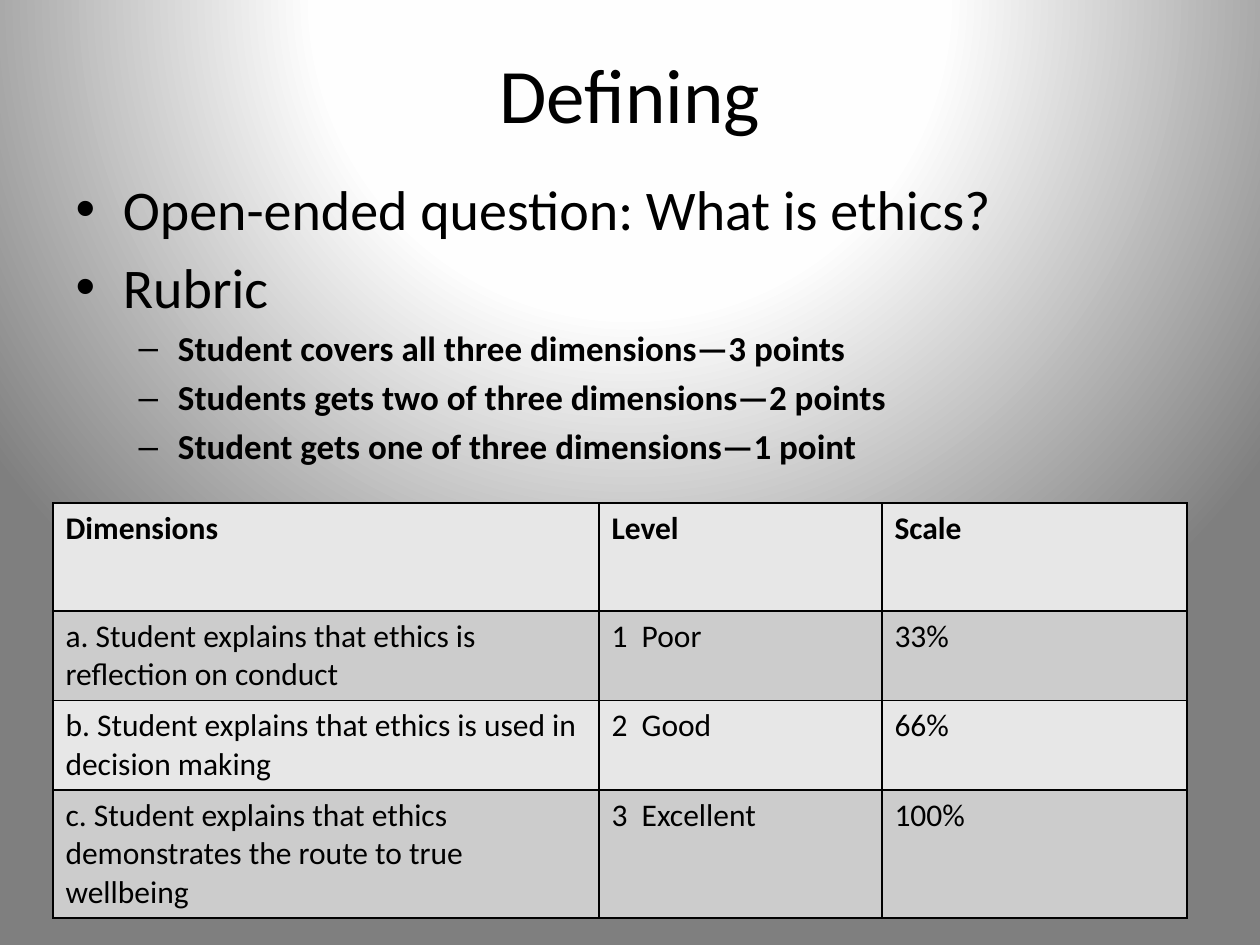
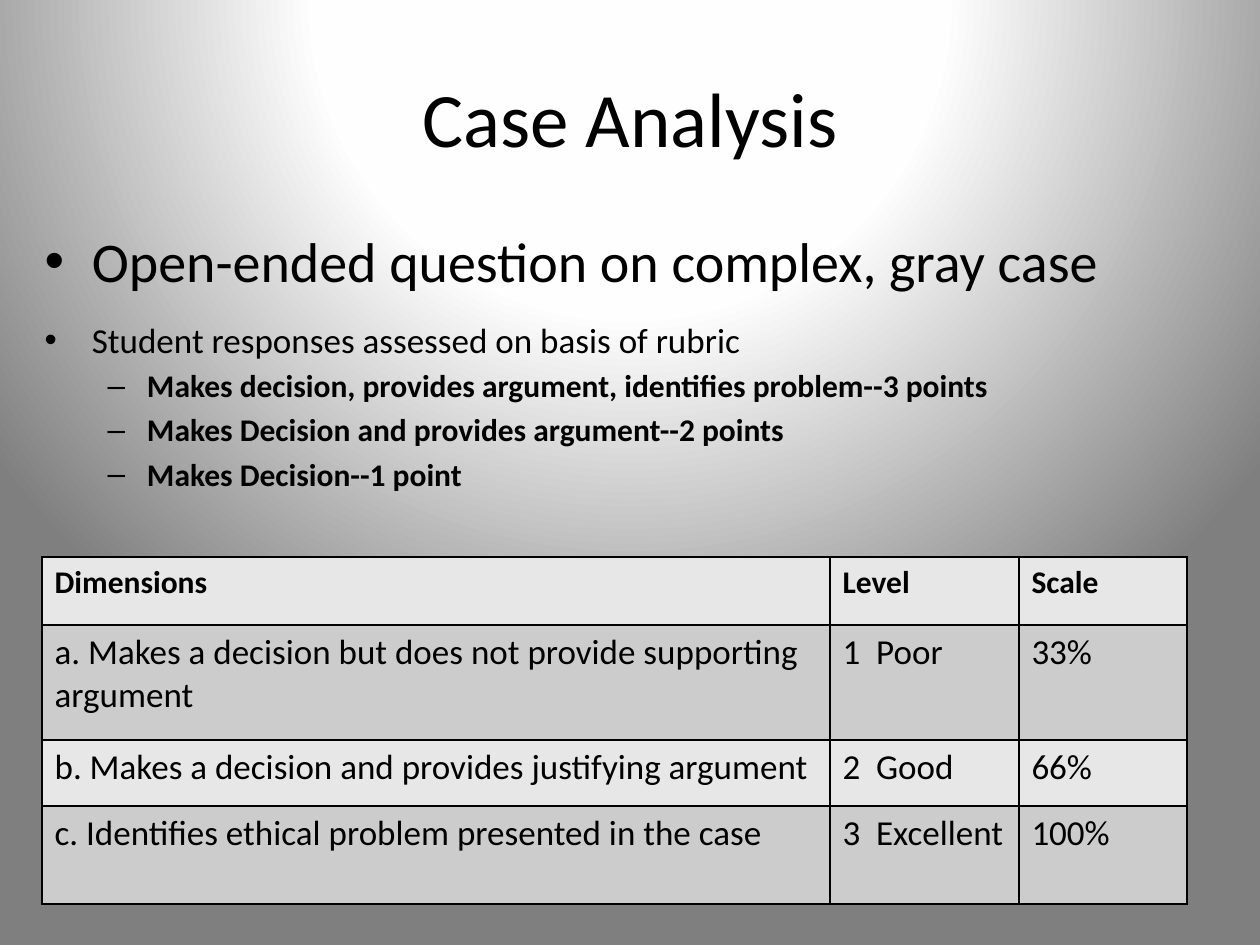
from lxml import etree
from pptx import Presentation
from pptx import util as u
from pptx.dml.color import RGBColor
from pptx.enum import text
from pptx.oxml import parse_xml
from pptx.oxml.ns import nsdecls, qn

SCALE = 914400 // 126  # EMU in one pixel
FONT = "Calibri"
COLORS = {
    "ink": "000000",
    "light row": "E7E7E7",
    "dark row": "CCCCCC",
    "glow": "FFFFFF",
    "glow edge": "FEFEFE",
    "rim": "7F7F7F",
}
GRADIENT_STOPS = ((0, "glow"), (40, "glow edge"), (100, "rim"))
HEADINGS = ("Dimensions", "Level", "Scale")
GRADES = (("1  Poor", "33%"), ("2  Good", "66%"), ("3  Excellent", "100%"))


def px(length):
    """Turn whole pixels into EMU."""
    return u.Emu(length * SCALE)


class RubricDeck:
    """The shared style and the current slide."""

    def __init__(self):
        self.deck = Presentation()
        self.deck.slide_width, self.deck.slide_height = u.Inches(10), u.Inches(7.5)
        self.page = None
        self.paint_background()

    def paint_background(self):
        """Give the master a round glow that starts above the slide."""
        self.deck.slide_master.background.fill.solid()
        frame = self.deck.slide_master.element.find(".//" + qn("p:bgPr"))
        stops = "".join(
            f'<a:gs pos="{percent * 1000}"><a:srgbClr val="{COLORS[name]}"/></a:gs>'
            for percent, name in GRADIENT_STOPS
        )
        glow = parse_xml(
            f'<a:gradFill {nsdecls("a")} rotWithShape="1"><a:gsLst>{stops}</a:gsLst>'
            '<a:path path="circle"><a:fillToRect l="50000" t="-80000" '
            'r="50000" b="180000"/></a:path></a:gradFill>'
        )
        frame.replace(frame.find(qn("a:solidFill")), glow)

    def add_page(self):
        """Start a slide with a title and a list."""
        self.page = self.deck.slides.add_slide(self.deck.slide_layouts[1])

    def style(self, para, size, bold=False):
        """Set the font of a whole paragraph."""
        font = para.font
        font.name, font.size, font.bold = FONT, u.Pt(size), bold
        font.color.rgb = RGBColor.from_string(COLORS["ink"])

    def place(self, box, area):
        """Move a placeholder to left, top, width, height."""
        box.left, box.top, box.width, box.height = map(px, area)
        box.text_frame.auto_size = text.MSO_AUTO_SIZE.NONE

    def title(self, words, area):
        """Fill the title placeholder."""
        box = self.page.shapes.title
        self.place(box, area)
        box.text_frame.text = words
        box.text_frame.vertical_anchor = text.MSO_ANCHOR.MIDDLE
        para = box.text_frame.paragraphs[0]
        para.alignment = text.PP_ALIGN.CENTER
        self.style(para, 44)

    def bullets(self, items, area):
        """Fill the body with (words, level, size, space before) items."""
        box = self.page.placeholders[1]
        self.place(box, area)
        frame = box.text_frame
        frame.text = "\n".join(item[0] for item in items)
        for para, (_, level, size, space) in zip(frame.paragraphs, items):
            para.level = level
            self.style(para, size, bold=level == 1)
            if space:
                para.space_before = u.Pt(space)

    def borders(self, cell):
        """Draw a thin line on all four sides of a cell."""
        properties = cell._tc.get_or_add_tcPr()
        for side in "LRTB":
            line = etree.SubElement(properties, qn(f"a:ln{side}"), w=str(u.Pt(1)))
            fill = etree.SubElement(line, qn("a:solidFill"))
            etree.SubElement(fill, qn("a:srgbClr"), val=COLORS["ink"])

    def rubric(self, dimensions, corner, widths, heights, size):
        """Add the table of dimensions with their levels and scale."""
        rows = [HEADINGS] + [(name, *grade) for name, grade in zip(dimensions, GRADES)]
        area = (*corner, sum(widths), sum(heights))
        table = self.page.shapes.add_table(len(rows), len(widths), *map(px, area)).table
        for column, width in zip(table.columns, widths):
            column.width = px(width)
        for index, (row, height, words) in enumerate(zip(table.rows, heights, rows)):
            row.height = px(height)
            shade = COLORS["dark row" if index % 2 else "light row"]
            for cell, word in zip(row.cells, words):
                cell.text = word
                self.style(cell.text_frame.paragraphs[0], size if index else 18, not index)
                self.borders(cell)
                cell.fill.solid()
                cell.fill.fore_color.rgb = RGBColor.from_string(shade)


def defining(show):
    """Build the slide on defining ethics."""
    show.add_page()
    show.title("Defining", (63, 38, 1134, 110))
    show.bullets(
        [
            ("Open-ended question: What is ethics?", 0, 32, None),
            ("Rubric", 0, 32, None),
            ("Student covers all three dimensions—3 points", 1, 20, None),
            ("Students gets two of three dimensions—2 points", 1, 20, None),
            ("Student gets one of three dimensions—1 point", 1, 20, None),
        ],
        (63, 168, 1134, 777),
    )
    show.rubric(
        (
            "a. Student explains that ethics is reflection on conduct",
            "b. Student explains that ethics is used in decision making",
            "c. Student explains that ethics demonstrates the route to true wellbeing",
        ),
        (53, 503), (546, 283, 305), (108, 84, 84, 103), 18,
    )


def case_analysis(show):
    """Build the slide on case analysis."""
    show.add_page()
    show.title("Case Analysis", (63, 38, 1134, 158))
    show.bullets(
        [
            ("Open-ended question on complex, gray case", 0, 32, None),
            ("Student responses assessed on basis of rubric", 0, 20, 14),
            ("Makes decision, provides argument, identifies problem--3 points", 1, 18, None),
            ("Makes Decision and provides argument--2 points", 1, 18, None),
            ("Makes Decision--1 point", 1, 18, None),
        ],
        (32, 220, 1165, 725),
    )
    show.rubric(
        (
            "a. Makes a decision but does not provide supporting argument",
            "b. Makes a decision and provides justifying argument",
            "c. Identifies ethical problem presented in the case",
        ),
        (42, 557), (788, 189, 168), (68, 115, 66, 98), 20,
    )


show = RubricDeck()
defining(show)
case_analysis(show)
show.deck.save("out.pptx")
